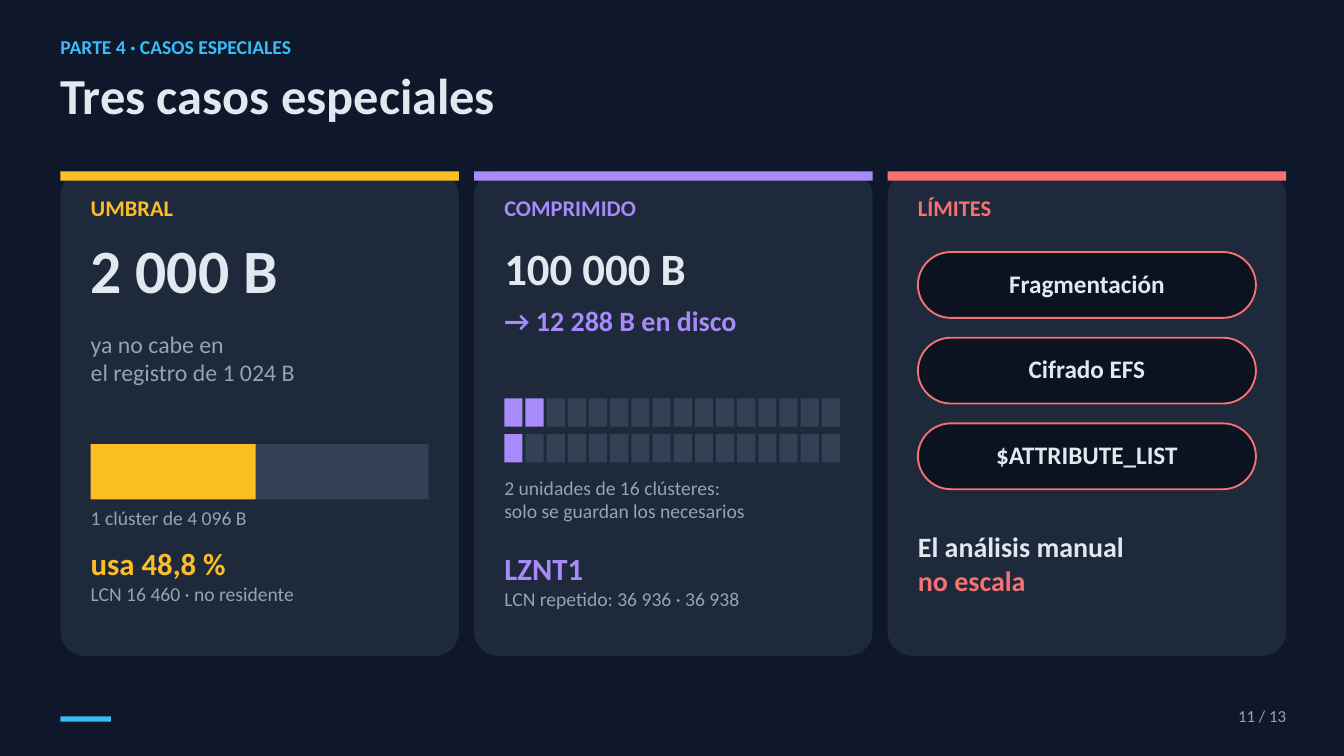
from dataclasses import dataclass

from pptx import Presentation
from pptx.dml.color import RGBColor
from pptx.enum.shapes import MSO_SHAPE as Preset
from pptx.enum.text import MSO_ANCHOR as Anchor, MSO_AUTO_SIZE as AutoSize, PP_ALIGN as Align
from pptx.util import Inches, Pt


@dataclass(frozen=True)
class Theme:
    """Colours, font and type sizes of the deck."""
    font: str = "Calibri"
    background: str = "0F172A"
    card: str = "1E293B"
    pill: str = "0B1220"
    empty: str = "334155"
    ink: str = "E2E8F0"
    muted: str = "94A3B8"
    sky: str = "38BDF8"
    amber: str = "FBBF24"
    violet: str = "A78BFA"
    coral: str = "F87171"
    page: float = 18
    note: float = 21
    label: float = 24
    body: float = 25.5
    limit: float = 27
    strong: float = 30
    fact: float = 33
    figure: float = 48
    title: float = 54
    hero: float = 66


class SlideBuilder:
    """Holds the theme and the current slide, and draws each kind of element."""

    def __init__(self, theme, slide):
        self.theme = theme
        self.slide = slide
        slide.background.fill.solid()
        slide.background.fill.fore_color.rgb = RGBColor.from_string(theme.background)

    def fill_frame(self, frame, lines, align=Align.LEFT, anchor=Anchor.TOP, insets=(0, 0, 0, 0)):
        """Fill a text frame with (text, size, colour, bold) lines."""
        frame.word_wrap = True
        frame.auto_size = AutoSize.NONE
        frame.vertical_anchor = anchor
        frame.margin_left, frame.margin_top, frame.margin_right, frame.margin_bottom = map(Inches, insets)
        for index, (text, size, colour, bold) in enumerate(lines):
            paragraph = frame.add_paragraph() if index else frame.paragraphs[0]
            paragraph.alignment = align
            paragraph.line_spacing = Pt(size * 1.2)
            run = paragraph.add_run()
            run.text = text
            run.font.name = self.theme.font
            run.font.size = Pt(size)
            run.font.bold = bold
            run.font.color.rgb = RGBColor.from_string(colour)

    def title(self, box, text):
        """Place and format the title placeholder."""
        title = self.slide.shapes.title
        title.left, title.top, title.width, title.height = map(Inches, box)
        self.fill_frame(title.text_frame, [(text, self.theme.title, self.theme.ink, True)])

    def text(self, box, *lines, align=Align.LEFT):
        """Add a text box without insets."""
        self.fill_frame(self.slide.shapes.add_textbox(*map(Inches, box)).text_frame, lines, align)

    def block(self, box, fill, preset=Preset.RECTANGLE, radius=None):
        """Add a filled shape without outline; radius is in inches."""
        block = self.slide.shapes.add_shape(preset, *map(Inches, box))
        block.shadow.inherit = False
        block.fill.solid()
        block.fill.fore_color.rgb = RGBColor.from_string(fill)
        block.line.fill.background()
        if radius:
            block.adjustments[0] = radius / min(box[2:])
        return block

    def card(self, box, accent, label):
        """Add a rounded card with an accent strip and a label."""
        left, top, width, _ = box
        self.block(box, self.theme.card, Preset.ROUNDED_RECTANGLE, 0.36)
        self.block((left, top, width, 0.14), accent)
        self.text((left + 0.45, top + 0.34, 5.1, 0.64), (label, self.theme.label, accent, True))

    def pill(self, box, text, accent):
        """Add an outlined pill with centred text."""
        pill = self.block(box, self.theme.pill, Preset.ROUNDED_RECTANGLE, box[3] / 2)
        pill.line.color.rgb = RGBColor.from_string(accent)
        pill.line.width = Pt(2)
        self.fill_frame(pill.text_frame, [(text, self.theme.limit, self.theme.ink, True)],
                        Align.CENTER, Anchor.MIDDLE, (0.06, 0.06, 0.06, 0.11))

    def cluster_row(self, left, top, used, total, accent):
        """Add a row of cluster cells with the first ones in use."""
        for index in range(total):
            fill = accent if index < used else self.theme.empty
            self.block((left + index * 0.315, top, 0.27, 0.42), fill)


def main():
    """Build the slide and save it."""
    theme = Theme()
    deck = Presentation()
    deck.slide_width, deck.slide_height = Inches(20), Inches(11.25)
    builder = SlideBuilder(theme, deck.slides.add_slide(deck.slide_layouts[5]))

    margin, card_top, card_width, card_height = 0.9, 2.55, 5.93, 7.21
    card_gap, padding, text_width = 0.225, 0.45, 5.1
    card_step = card_width + card_gap
    content_width = card_width - 2 * padding

    builder.text((margin, 0.52, 13.51, 0.5), ("PARTE 4 · CASOS ESPECIALES", theme.note, theme.sky, True))
    builder.title((margin, 0.96, 18.16, 1.33), "Tres casos especiales")
    builder.text((16.81, 10.5, 2.33, 0.49), ("11 / 13", theme.page, theme.muted, False), align=Align.RIGHT)
    builder.block((margin, 10.66, 0.75, 0.08), theme.sky)

    cards = [("UMBRAL", theme.amber), ("COMPRIMIDO", theme.violet), ("LÍMITES", theme.coral)]
    for index, (label, accent) in enumerate(cards):
        builder.card((margin + index * card_step, card_top, card_width, card_height), accent, label)
    threshold, compressed, limits = (margin + index * card_step + padding for index in range(3))

    builder.text((threshold, 3.45, text_width, 1.51), ("2 000 B", theme.hero, theme.ink, True))
    builder.text((threshold, 4.9, text_width, 1.1),
                 ("ya no cabe en", theme.body, theme.muted, False),
                 ("el registro de 1 024 B", theme.body, theme.muted, False))
    for share, fill in ((1, theme.empty), (0.488, theme.amber)):
        builder.block((threshold, 6.61, content_width * share, 0.82), fill)
    builder.text((threshold, 7.53, text_width, 0.58), ("1 clúster de 4 096 B", theme.note, theme.muted, False))
    builder.text((threshold, 8.11, text_width, 1.27),
                 ("usa 48,8 %", theme.fact, theme.amber, True),
                 ("LCN 16 460 · no residente", theme.note, theme.muted, False))

    builder.text((compressed, 3.58, text_width, 0.99), ("100 000 B", theme.figure, theme.ink, True))
    builder.text((compressed, 4.51, text_width, 0.97), ("→ 12 288 B en disco", theme.strong, theme.violet, True))
    for row, used in enumerate((2, 1)):
        builder.cluster_row(compressed, 5.93 + row * 0.53, used, 16, theme.violet)
    builder.text((compressed, 7.08, text_width, 0.95),
                 ("2 unidades de 16 clústeres:", theme.note, theme.muted, False),
                 ("solo se guardan los necesarios", theme.note, theme.muted, False))
    builder.text((compressed, 8.18, text_width, 1.27),
                 ("LZNT1", theme.fact, theme.violet, True),
                 ("LCN repetido: 36 936 · 36 938", theme.note, theme.muted, False))

    for index, limit in enumerate(("Fragmentación", "Cifrado EFS", "$ATTRIBUTE_LIST")):
        builder.pill((limits, 3.75 + index * 1.275, content_width, 0.98), limit, theme.coral)
    builder.text((limits, 7.88, text_width, 1.57),
                 ("El análisis manual", theme.strong, theme.ink, True),
                 ("no escala", theme.strong, theme.coral, True))

    deck.save("out.pptx")


if __name__ == "__main__":
    main()
